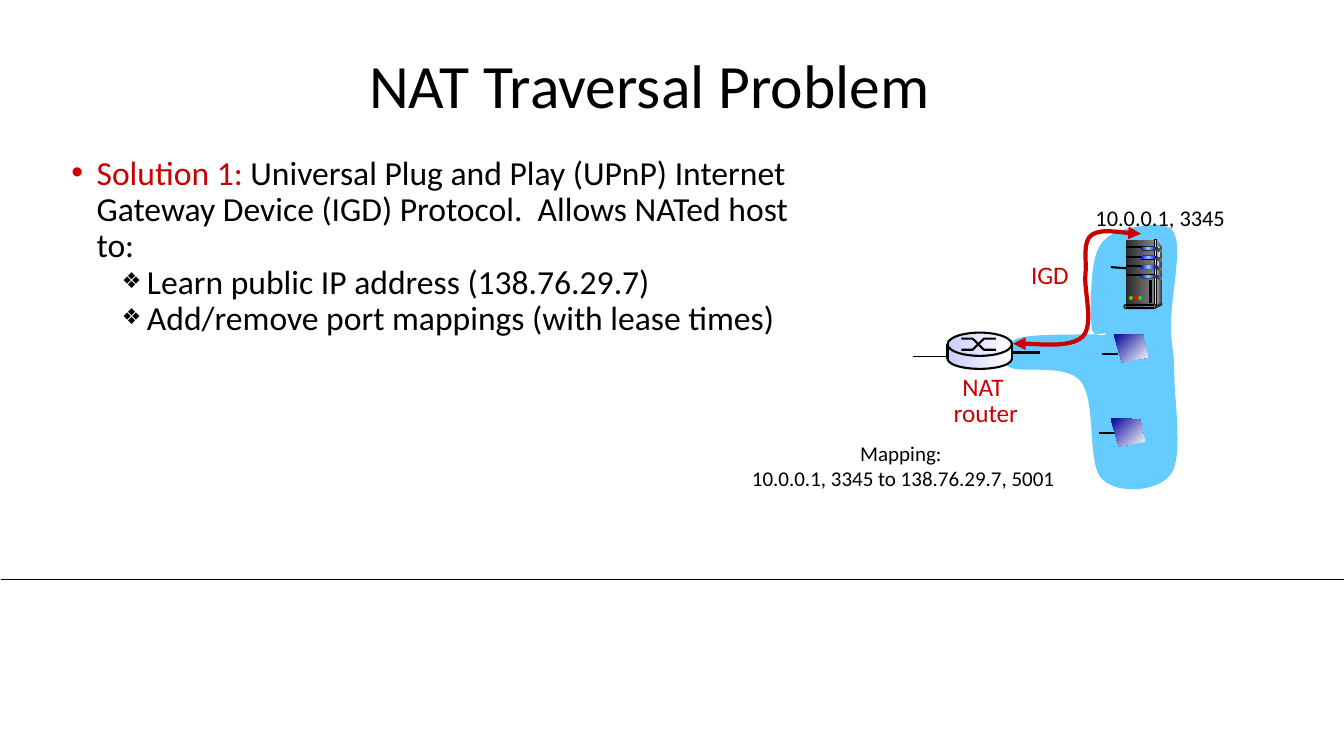
from copy import deepcopy

from lxml import etree
from pptx import Presentation
from pptx.dml.color import RGBColor
from pptx.enum.shapes import MSO_CONNECTOR, MSO_SHAPE
from pptx.enum.text import MSO_ANCHOR, MSO_AUTO_SIZE, PP_ALIGN
from pptx.oxml.ns import qn
from pptx.util import Pt

RECT, OVAL, ROUND = MSO_SHAPE.RECTANGLE, MSO_SHAPE.OVAL, MSO_SHAPE.ROUNDED_RECTANGLE
STRAIGHT = MSO_CONNECTOR.STRAIGHT
LEFT, CENTER = PP_ALIGN.LEFT, PP_ALIGN.CENTER
FONT = "Calibri"
BLACK, RED, SKY, CHARCOAL = "000000", "CC0000", "66CCFF", "333333"
ROUTER_FILL = ("CCCCFF", "FFFFFF")
SCREEN_FILL = ("000099", "FFFFFF")
METAL = ("292929", "808080")


def rgb(value):
    return RGBColor.from_string(value)


def paint(shape, fill=None, line=None, width=0.75, angle=0):
    """Fill with a colour, a tuple of gradient colours or nothing."""
    shape.shadow.inherit = False
    if fill is None:
        shape.fill.background()
    elif isinstance(fill, str):
        shape.fill.solid()
        shape.fill.fore_color.rgb = rgb(fill)
    else:
        shape.fill.gradient()
        shape.fill.gradient_angle = angle
        stop_list = shape._element.spPr.find(".//" + qn("a:gsLst"))
        for _ in fill[2:]:
            stop_list.insert(1, deepcopy(stop_list[0]))
        for i, (stop, colour) in enumerate(zip(shape.fill.gradient_stops, fill)):
            stop.position = i / (len(fill) - 1)
            stop.color.rgb = rgb(colour)
    if line:
        shape.line.color.rgb = rgb(line)
        shape.line.width = Pt(width)
    else:
        shape.line.fill.background()
    return shape


def add_part(shapes, kind, x, y, w, h, fill, line=None, width=0.75):
    part = shapes.add_shape(kind, Pt(x), Pt(y), Pt(w), Pt(h))
    if kind == ROUND:
        part.adjustments[0] = 0.5
    return paint(part, fill, line, width)


def add_line(shapes, x1, y1, x2, y2, width=1.5):
    line = shapes.add_connector(STRAIGHT, Pt(x1), Pt(y1), Pt(x2), Pt(y2))
    line.line.color.rgb = rgb(BLACK)
    line.line.width = Pt(width)
    etree.SubElement(line._element.spPr, qn("a:effectLst"))
    return line


def add_outline(shapes, x, y, points, close=True):
    scaled = [((x + px) * 100, (y + py) * 100) for px, py in points]
    builder = shapes.build_freeform(*scaled[0], scale=Pt(1) / 100)
    builder.add_line_segments(scaled[1:], close=close)
    return builder.convert_to_shape()


def add_curve(shapes, x, y, start, segments, close=True):
    """Join cubic segments, each (control, control, end)."""
    points = [start] + [seg[i:i + 2] for seg in segments for i in (0, 2, 4)]
    # Keep the end point explicit, then turn each three lines into one curve
    curve = add_outline(shapes, x, y, points, close)
    lines = list(curve._element.iter(qn("a:lnTo")))[:3 * len(segments)]
    for first, second, end in zip(lines[::3], lines[1::3], lines[2::3]):
        bezier = etree.Element(qn("a:cubicBezTo"))
        first.addprevious(bezier)
        for line in (first, second, end):
            bezier.append(line[0])
            line.getparent().remove(line)
    return curve


def style(paragraph, size, colour, align=LEFT, spacing=1.0):
    paragraph.alignment = align
    paragraph.line_spacing = spacing
    paragraph.space_before = Pt(0)
    for run in paragraph.runs:
        run.font.name, run.font.size = FONT, Pt(size)
        run.font.color.rgb = rgb(colour)


def add_label(shapes, x, y, w, h, text, size, colour=BLACK, align=LEFT, spacing=1.0):
    frame = shapes.add_textbox(Pt(x), Pt(y), Pt(w), Pt(h)).text_frame
    frame.word_wrap = True
    frame.text = text
    for paragraph in frame.paragraphs:
        style(paragraph, size, colour, align, spacing)


def place(placeholder, x, y, w, h, anchor):
    placeholder.left, placeholder.top = Pt(x), Pt(y)
    placeholder.width, placeholder.height = Pt(w), Pt(h)
    frame = placeholder.text_frame
    frame.auto_size = MSO_AUTO_SIZE.NONE
    frame.vertical_anchor = anchor
    return frame


def set_bullet(paragraph, char, margin, percent, typeface):
    pPr = paragraph._p.get_or_add_pPr()
    pPr.set("marL", str(Pt(margin)))
    pPr.set("indent", str(Pt(-18)))
    etree.SubElement(pPr, qn("a:buSzPct"), val=str(percent * 1000))
    etree.SubElement(pPr, qn("a:buFont"), typeface=typeface)
    etree.SubElement(pPr, qn("a:buChar"), char=char)


def fill_text(slide):
    # Title
    title = place(slide.shapes.title, 56, 18, 816, 90, MSO_ANCHOR.MIDDLE)
    title.text = "NAT Traversal Problem"
    style(title.paragraphs[0], 44, BLACK, CENTER, 0.9)
    # Solution list
    body = place(slide.placeholders[1], 43.8, 108, 544, 406, MSO_ANCHOR.TOP)
    solution = body.paragraphs[0]
    solution.text = "Solution 1: "
    solution.add_run().text = ("Universal Plug and Play (UPnP) Internet Gateway Device "
                               "(IGD) Protocol.  Allows NATed host to:")
    set_bullet(solution, "•", 18, 100, "Arial")
    style(solution, 24, BLACK, spacing=0.9)
    solution.runs[0].font.color.rgb = rgb(RED)
    for ability in ("Learn public IP address (138.76.29.7)",
                    "Add/remove port mappings (with lease times)"):
        item = body.add_paragraph()
        item.text = ability
        item.level = 1
        set_bullet(item, "❖", 54, 65, FONT)
        style(item, 24, BLACK, spacing=0.9)


def draw_local_network(slide, x, y):
    shapes = slide.shapes.add_group_shape().shapes
    # Cloud
    cloud = [
        (26, 80.6, 67, 82.8, 75.7, 81.3), (84.3, 79.9, 68.5, 87.1, 67.8, 77),
        (67, 66.9, 66.3, 33.8, 72.1, 21.6), (77.1, 9.3, 90.8, 6.4, 100.2, 5),
        (109.5, 3.6, 123.9, 0.7, 127.5, 11.5), (131.8, 23, 124.6, 56.1, 124.6, 72.7),
        (123.9, 89.2, 126.8, 91.4, 126.8, 109.4), (126.8, 128.1, 133.3, 169.2, 124.6, 181.4),
        (116, 194.4, 85.8, 196.5, 75, 185), (64.2, 174.2, 71.4, 128.8, 59.8, 115.2),
        (49, 102.2, 15.9, 110.1, 8.7, 105.1), (0.8, 100, 4.4, 89.2, 14.5, 84.9)]
    paint(add_curve(shapes, x, y, (14.5, 84.9), cloud), SKY)
    # Two host screens with their links
    screen = [(0, 0), (20.9, 0.7), (24.5, 16.6), (5.8, 20.2)]
    for left, top, drop in ((83.6, 81.6, 14.1), (81.4, 141.8, 10.8)):
        link_y = y + top + drop
        add_line(shapes, x + left - 8.3, link_y, x + left + 3, link_y)
        paint(add_outline(shapes, x + left, y + top, screen), SCREEN_FILL, angle=315)


def draw_router(slide, x, y, w):
    shapes = slide.shapes.add_group_shape().shapes
    add_line(shapes, x - 24.5, y + 17.3, x + 7.2, y + 17.3, 0.75)
    add_part(shapes, OVAL, x, y + 11.5, w, 14.4, ROUTER_FILL, BLACK, 1.5)
    band = add_part(shapes, RECT, x, y + 9.7, w, 9, ROUTER_FILL)
    add_part(shapes, OVAL, x, y, w, 16.6, ROUTER_FILL, BLACK, 1.5)
    for ends in ((12.2, 4.3), (4.3, 12.2)):
        cross = [(10, ends[0]), (18, ends[0]), (26, ends[1]), (34.5, ends[1])]
        paint(add_outline(shapes, x, y, cross, close=False), None, BLACK, 1.5)
    for side in (x, x + w):
        add_line(shapes, side, y + 7.9, side, y + 19)
    link = add_line(shapes, x + w, y + 14.2, x + w + 20, y + 14.2)
    link.begin_connect(band, 3)


def draw_igd_arrow(slide, x, y):
    route = [
        (19.5, 87.8, 52.6, 91.4, 61.3, 83.5), (69.9, 74.8, 62, 50.4, 63.4, 38.8),
        (64.2, 26.6, 61.3, 15.8, 67.8, 10.8), (74.2, 6.4, 95.8, 10, 103, 10)]
    arrow = paint(add_curve(slide.shapes, x, y, (11.6, 88.5), route, close=False),
                  None, RED, 3)
    outline = arrow._element.spPr.find(qn("a:ln"))
    for end in ("a:headEnd", "a:tailEnd"):
        etree.SubElement(outline, qn(end), type="triangle")


def draw_server(slide, x, y):
    add_line(slide.shapes, x - 9.4, y + 19.4, x + 1.4, y + 20.2)
    shapes = slide.shapes.add_group_shape().shapes
    # Case
    side = [(23, 0), (27.4, 5.8), (27.4, 44.6), (21.6, 46.8)]
    paint(add_outline(shapes, x, y, side), ("DDDDDD", CHARCOAL))
    add_part(shapes, RECT, x + 1.4, y, 20.2, 46.8, METAL)
    panel = [(23, 2.9, 23.8, 3.6, 25.9, 6.5), (23, 23.8, 23.8, 46.1, 23, 45.4)]
    paint(add_curve(shapes, x, y, (23, 2.9), panel), ("808080", "F8F8F8"))
    add_part(shapes, RECT, x + 21.6, y, 1.4, 46.8, (CHARCOAL, "DDDDDD", CHARCOAL), BLACK)
    # Four drive bays
    flap = [(22.7, 0), (27.4, 2.2), (27.4, 4.1), (22.7, 2.2)]
    for bay in range(4):
        top = y + 5 + 6.6 * bay
        add_part(shapes, RECT, x + 1.8, top, 11.5, 0.7, BLACK, BLACK)
        add_part(shapes, ROUND, x + 12, top - 0.3, 10.8, 2.9, BLACK)
        add_part(shapes, ROUND, x + 12.2, top, 10.8, 2.2, ("0000FF", "99CCFF", "0000FF"))
        paint(add_outline(shapes, x, top, flap), METAL)
    # Foot, status lights and drive slot
    add_part(shapes, OVAL, x + 26.6, y + 44.6, 0.7, 2.2, CHARCOAL)
    foot = [(22.3, 46.8), (22.3, 49), (27.4, 46.8), (27.4, 44.6)]
    paint(add_outline(shapes, x, y, foot), CHARCOAL)
    add_part(shapes, ROUND, x, y + 46.1, 23, 2.9, "DDDDDD", BLACK)
    add_part(shapes, ROUND, x + 1.4, y + 46.8, 20.2, 1.4, ("44546A", "E7E6E6"), BLACK)
    for i, light in enumerate(("33CC33", "FF0000", "33CC33")):
        add_part(shapes, OVAL, x + 3.6 + 3.3 * i, y + 40, 2.9, 2.9, light)
    add_part(shapes, RECT, x + 18, y + 28.8, 1.4, 15.8, "292929", BLACK)


def add_diagram_labels(slide, x, y):
    shapes = slide.shapes
    add_label(shapes, x + 258.4, y, 118, 27, "10.0.0.1, 3345", 16)
    add_label(shapes, x + 212.4, y + 39, 47, 29, "IGD", 18, RED)
    add_label(shapes, x + 155.5, y + 122.5, 63.5, 45, "NAT \nrouter", 18, RED, CENTER, 0.85)
    add_label(shapes, x, y + 168.7, 256.4, 44,
              "Mapping: \n10.0.0.1, 3345 to 138.76.29.7, 5001", 15, BLACK, CENTER)


def main():
    prs = Presentation()
    prs.slide_width, prs.slide_height = Pt(960), Pt(540)
    slide = prs.slides.add_slide(prs.slide_layouts[1])
    add_line(slide.shapes, 0.7, 414, 960, 414, 0.5)
    fill_text(slide)
    draw_local_network(slide, 712, 157)
    draw_router(slide, 676.8, 237.6, 46)
    draw_igd_arrow(slide, 712, 157)
    draw_server(slide, 802.8, 171.4)
    add_diagram_labels(slide, 517, 142.5)
    prs.save("out.pptx")


if __name__ == "__main__":
    main()
